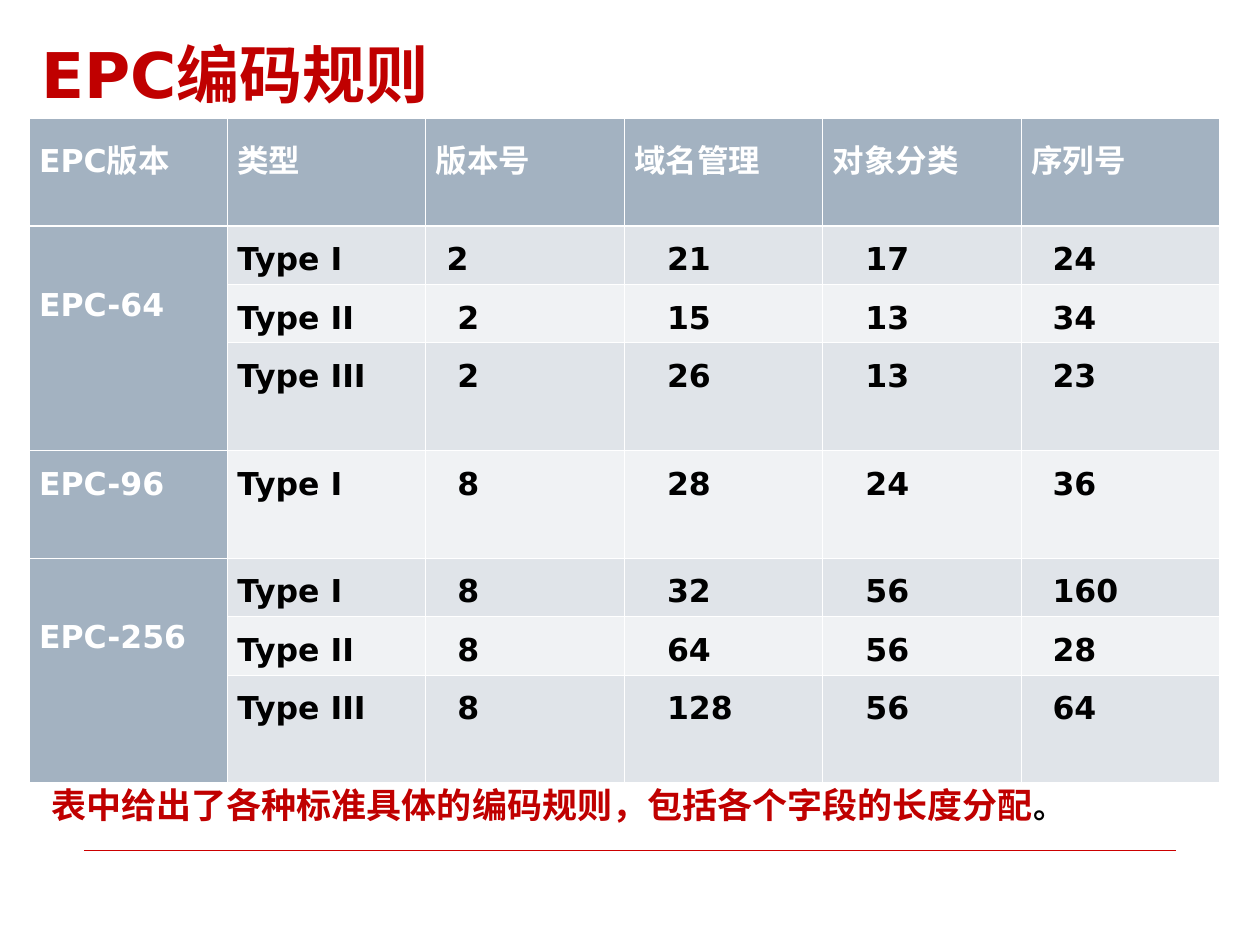
from lxml.etree import SubElement
from pptx import Presentation
from pptx.dml.color import RGBColor
from pptx.enum.lang import MSO_LANGUAGE_ID as Lang
from pptx.enum.shapes import MSO_CONNECTOR as Connector
from pptx.enum.text import PP_ALIGN as Align
from pptx.oxml.ns import qn
from pptx.util import Inches, Pt

WIDTH, HEIGHT = 10, 7.5
FONT = "DejaVu Sans"
RED, WHITE, BLACK = "C00000", "FFFFFF", "000000"
HEAD_FILL, BANDS = "A3B2C1", ("E0E4E9", "F0F2F4")
THIN, THICK = 0.45, 1.47

HEADINGS = ["EPC版本", "类型", "版本号", "域名管理", "对象分类", "序列号"]
VERSIONS = {
    "EPC-64": [("Type I", 2, 21, 17, 24),
               ("Type II", 2, 15, 13, 34),
               ("Type III", 2, 26, 13, 23)],
    "EPC-96": [("Type I", 8, 28, 24, 36)],
    "EPC-256": [("Type I", 8, 32, 56, 160),
                ("Type II", 8, 64, 56, 28),
                ("Type III", 8, 128, 56, 64)],
}
TALL_ROW, SHORT_ROW = 0.855, 0.46
INDENTS = [0, 0.17, 0.26, 0.26, 0.17]


def color(value):
    return RGBColor.from_string(value)


def add_text(para, text, size=18, fill=BLACK, bold=True, align=None, spacing=None):
    if align is not None:
        para.alignment = align
    if spacing is not None:
        para.line_spacing = spacing
    span = para.add_run()
    span.text = text
    font = span.font
    font.name, font.size, font.bold = FONT, Pt(size), bold
    font.color.rgb = color(fill)
    font.language_id = Lang.SIMPLIFIED_CHINESE


def add_box(page, left, top, width, height):
    """Add a wrapping text box and return its first paragraph."""
    box = page.shapes.add_textbox(*map(Inches, (left, top, width, height)))
    box.text_frame.word_wrap = True
    return box.text_frame.paragraphs[0]


def add_borders(cell, top, bottom):
    properties = cell._tc.get_or_add_tcPr()
    for side, width in zip("LRTB", (THIN, THIN, top, bottom)):
        line = SubElement(properties, qn(f"a:ln{side}"), w=str(Pt(width)))
        fill = SubElement(line, qn("a:solidFill"))
        SubElement(fill, qn("a:srgbClr"), val=WHITE)


def fill_cell(table, row, column, text, fill, ink=BLACK, indent=0, drop=0):
    cell = table.cell(row, column)
    cell.margin_left, cell.margin_right = Inches(0.08 + indent), Inches(0.08)
    cell.margin_top, cell.margin_bottom = Inches(0.05 + drop), Inches(0.05)
    add_borders(cell, THICK if row == 1 else THIN, THICK if row == 0 else THIN)
    cell.fill.solid()
    cell.fill.fore_color.rgb = color(fill)
    if text:
        add_text(cell.text_frame.paragraphs[0], str(text), fill=ink,
                 align=Align.JUSTIFY, spacing=1.25)


def add_code_table(page, left, top, width):
    heights = [TALL_ROW]
    for types in VERSIONS.values():
        heights += [SHORT_ROW] * (len(types) - 1) + [TALL_ROW]
    frame = page.shapes.add_table(len(heights), len(HEADINGS), Inches(left),
                                  Inches(top), Inches(width), Inches(sum(heights)))
    table = frame.table
    for column in table.columns:
        column.width = Inches(width / len(HEADINGS))
    for row, height in zip(table.rows, heights):
        row.height = Inches(height)

    for column, heading in enumerate(HEADINGS):
        fill_cell(table, 0, column, heading, HEAD_FILL, WHITE)
    row = 1
    for version, types in VERSIONS.items():
        first, last = row, row + len(types) - 1
        for values in types:
            fill_cell(table, row, 0, version if row == first else "", HEAD_FILL,
                      WHITE, drop=0.36 if last > first and row == first else 0)
            for column, (value, indent) in enumerate(zip(values, INDENTS), 1):
                if (row, column) == (1, 2):
                    indent /= 2
                fill_cell(table, row, column, value, BANDS[(row - 1) % 2], indent=indent)
            row += 1
        if last > first:
            table.cell(first, 0).merge(table.cell(last, 0))


def add_footer_rule(page, left, right, y):
    rule = page.shapes.add_connector(Connector.STRAIGHT, Inches(left), Inches(y),
                                     Inches(right), Inches(y))
    rule.line.color.rgb = color("CC0000")
    rule.line.width = Pt(0.25)
    SubElement(rule._element.spPr, qn("a:effectLst"))


def main():
    deck = Presentation()
    deck.slide_width, deck.slide_height = Inches(WIDTH), Inches(HEIGHT)
    page = deck.slides.add_slide(deck.slide_layouts[6])
    margin = 0.23
    add_footer_rule(page, WIDTH / 15, WIDTH * 14 / 15, HEIGHT * 0.9)
    add_code_table(page, margin, 0.94, 9.45)
    add_text(add_box(page, margin, margin, 6.95, 0.7), "EPC编码规则", size=36, fill=RED)
    note = add_box(page, 0.31, 6.17, 9.3, 0.44)
    add_text(note, "表中给出了各种标准具体的编码规则，包括各个字段的长度分配", size=20, fill=RED)
    add_text(note, "。")
    deck.save("out.pptx")


if __name__ == "__main__":
    main()
